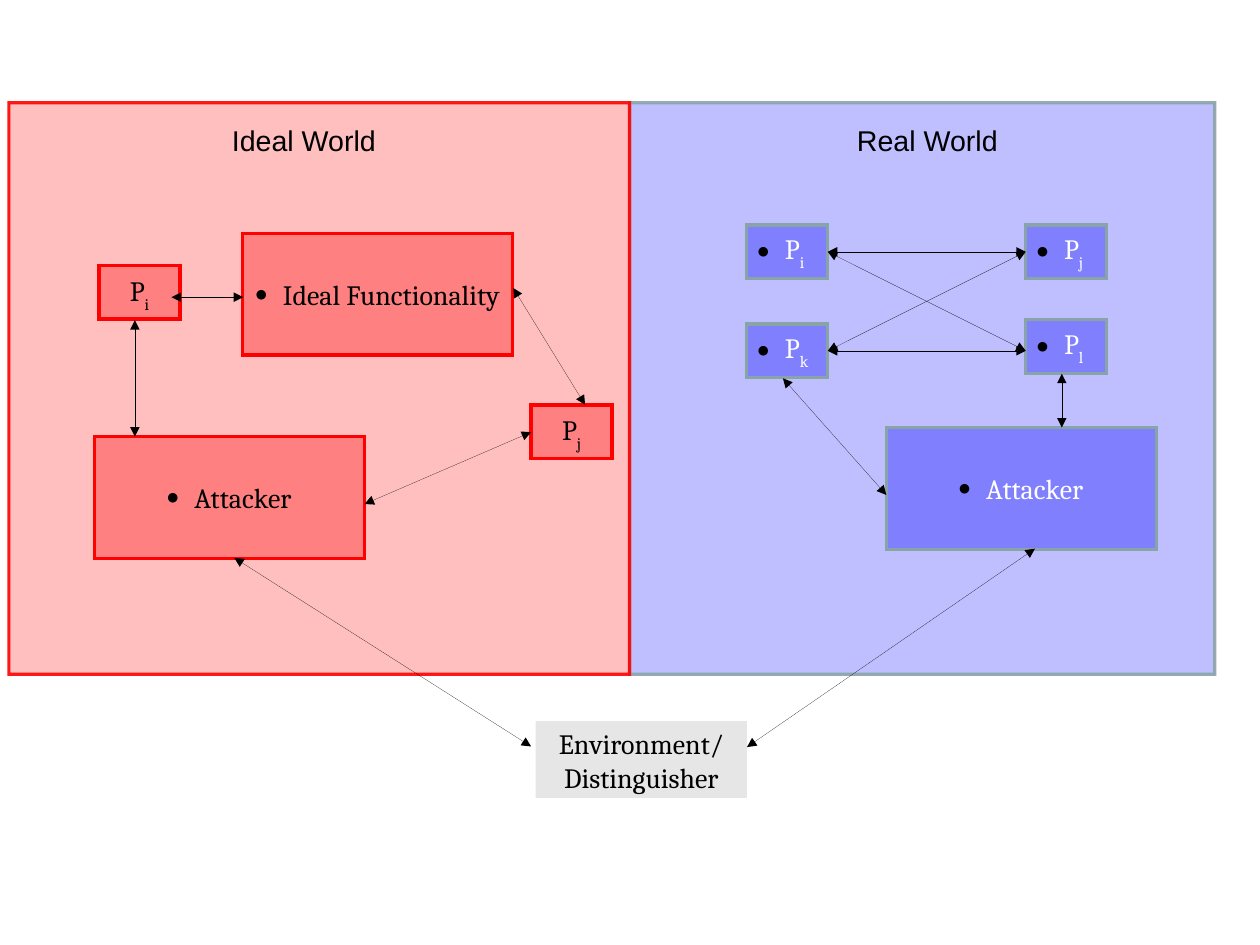
from dataclasses import dataclass

from pptx import Presentation
from pptx.dml.color import RGBColor as RGB
from pptx.enum.shapes import MSO_CONNECTOR as CONN, MSO_SHAPE as SHAPE
from pptx.enum.text import MSO_ANCHOR as ANCHOR, PP_ALIGN as ALIGN
from pptx.oxml.ns import qn
from pptx.oxml.xmlchemy import OxmlElement
from pptx.util import Pt


@dataclass(frozen=True)
class Theme:
    black: str = "000000"
    white: str = "FFFFFF"
    gray: str = "E6E6E6"
    ideal: str = "FF8080"
    ideal_line: str = "FF0000"
    real: str = "8080FF"
    real_line: str = "89A4A7"
    box_font: str = "Cambria"
    label_font: str = "Arial"
    box_size: float = 17.6
    label_size: float = 18
    border: float = 2


T = Theme()
PARTY = (51.1, 33.8)
ACTOR = (170.1, 76.7)


def add_child(parent, tag, **attrs):
    el = OxmlElement(tag)
    for name, value in attrs.items():
        el.set(name, value)
    parent.append(el)
    return el


def set_alpha(parent, percent):
    clr = parent.find(".//" + qn("a:srgbClr"))
    add_child(clr, "a:alpha", val=str(percent * 1000))


def add_bullet(p):
    pPr = p._p.get_or_add_pPr()
    pPr.set("marL", str(Pt(17)))
    pPr.set("indent", str(-Pt(17)))
    add_child(add_child(pPr, "a:buClr"), "a:srgbClr", val=T.black)
    add_child(pPr, "a:buSzPct", val="45000")
    add_child(pPr, "a:buFont", typeface=T.box_font)
    add_child(pPr, "a:buChar", char="●")


def add_run(p, text, font, size, color, sub=False):
    r = p.add_run()
    r.text = text
    r.font.name = font
    r.font.size = Pt(size)
    r.font.color.rgb = RGB.from_string(color)
    if sub:
        r._r.get_or_add_rPr().set("baseline", "-33000")


def add_rect(s, x, y, w, h, fill, line=None):
    sp = s.shapes.add_shape(SHAPE.RECTANGLE, Pt(x), Pt(y), Pt(w), Pt(h))
    sp.shadow.inherit = False
    sp.fill.solid()
    sp.fill.fore_color.rgb = RGB.from_string(fill)
    if line:
        sp.line.color.rgb = RGB.from_string(line)
        sp.line.width = Pt(T.border)
        add_child(sp.line._get_or_add_ln(), "a:miter", lim="800000")
    else:
        sp.line.fill.background()
    return sp


def add_panel(s, x, y, w, h, fill, line):
    spPr = add_rect(s, x, y, w, h, fill, line)._element.spPr
    set_alpha(spPr.find(qn("a:solidFill")), 50)
    set_alpha(spPr.find(qn("a:ln")), 90)


def add_box(s, pos, size, lines, fill, line=None, color=T.black, sub="",
            bullet=False, align=ALIGN.CENTER, anchor=ANCHOR.MIDDLE):
    tf = add_rect(s, *pos, *size, fill, line).text_frame
    tf.word_wrap = True
    tf.vertical_anchor = anchor
    for i, text in enumerate(lines):
        p = tf.add_paragraph() if i else tf.paragraphs[0]
        p.alignment = align
        if bullet:
            add_bullet(p)
        add_run(p, text, T.box_font, T.box_size, color)
        if sub:
            add_run(p, sub, T.box_font, T.box_size, color, sub=True)


def add_label(s, x, y, text):
    tf = s.shapes.add_textbox(Pt(x), Pt(y), Pt(108), Pt(27.4)).text_frame
    tf.word_wrap = True
    add_run(tf.paragraphs[0], text, T.label_font, T.label_size, T.black)


def add_arrow(s, x1, y1, x2, y2):
    c = s.shapes.add_connector(CONN.STRAIGHT, Pt(x1), Pt(y1), Pt(x2), Pt(y2))
    c.line.color.rgb = RGB.from_string(T.black)
    ln = c.line._get_or_add_ln()
    ln.set("w", "0")
    add_child(ln, "a:headEnd", type="triangle")
    add_child(ln, "a:tailEnd", type="triangle")
    add_child(c._element.spPr, "a:effectLst")


def add_ideal_world(s):
    style = dict(fill=T.ideal, line=T.ideal_line)
    add_panel(s, 5.6, 64.8, 391, 360, **style)
    add_label(s, 139, 73.8, "Ideal World")
    for pos, text in (((153, 147), "Ideal Functionality"),
                      ((59.5, 274.9), "Attacker")):
        add_box(s, pos, ACTOR, [text], bullet=True, **style)
    for pos, sub in (((62.3, 167.2), "i"), ((334.5, 255.1), "j")):
        add_box(s, pos, PARTY, ["P"], sub=sub, anchor=ANCHOR.BOTTOM, **style)
    for ends in ((323.3, 181.4, 368.6, 255), (108, 187.2, 153.2, 187.2),
                 (85, 201.6, 85, 275), (334.6, 272.2, 229.7, 317.5)):
        add_arrow(s, *ends)


def add_real_world(s):
    style = dict(fill=T.real, line=T.real_line, color=T.white, bullet=True)
    add_panel(s, 396.7, 64.8, 368.6, 360, T.real, T.real_line)
    add_label(s, 532.8, 73.8, "Real World")
    add_box(s, (558.3, 269.3), ACTOR, ["Attacker"], **style)
    left, right, top, low = 470.4, 646.2, 141.8, 204.1
    for x, y, sub in ((left, top, "i"), (right, top, "j"),
                      (left, low, "k"), (right, low - 2.6, "l")):
        add_box(s, (x, y), PARTY, ["P"], sub=sub, align=ALIGN.LEFT, **style)
    rows = (158.6, 221)
    for y1 in rows:
        for y2 in rows:
            add_arrow(s, left + PARTY[0], y1, right, y2)
    add_arrow(s, 493.2, 238.3, 558.4, 311.8)
    add_arrow(s, 668.9, 269.3, 668.9, 235.4)


def add_environment(s):
    add_box(s, (337.4, 454.3), (133.2, 48.3), ["Environment/", "Distinguisher"],
            fill=T.gray, anchor=ANCHOR.TOP)
    add_arrow(s, 147.6, 351.4, 334.6, 470.2)
    add_arrow(s, 652, 345.6, 470.6, 470.6)


def main():
    prs = Presentation()
    prs.slide_width, prs.slide_height = Pt(793.75), Pt(595.25)
    s = prs.slides.add_slide(prs.slide_layouts[6])
    add_real_world(s)
    add_ideal_world(s)
    add_environment(s)
    prs.save("out.pptx")


if __name__ == "__main__":
    main()
